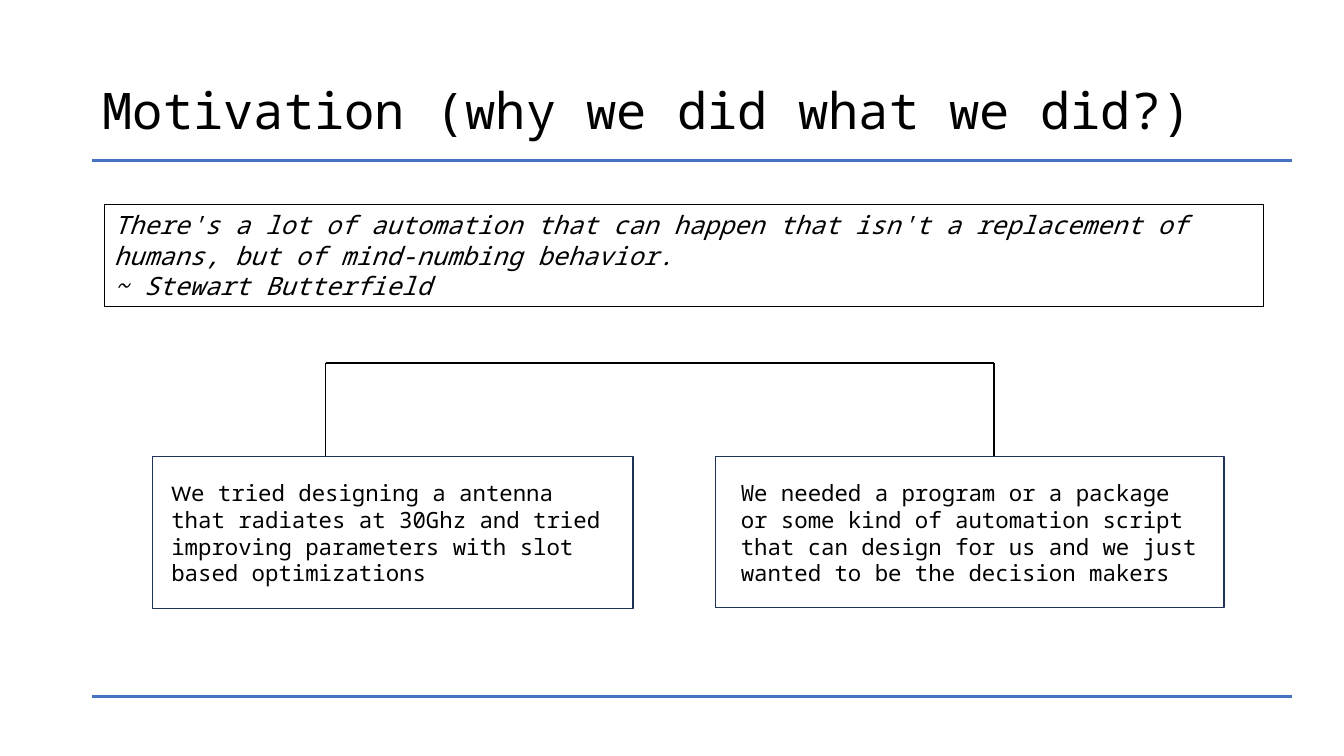
import pptx
import pptx.dml.color
import pptx.enum.shapes
import pptx.enum.text
import pptx.oxml.ns
import pptx.util
from collections import namedtuple
from lxml import etree

BLACK = pptx.dml.color.RGBColor(0x00, 0x00, 0x00)
BLUE = pptx.dml.color.RGBColor(0x44, 0x72, 0xC4)
NAVY = pptx.dml.color.RGBColor(0x1E, 0x32, 0x56)
MONO = "Noto Sans Mono"
SANS = "Calibri"

# The slide is a grid of 100 columns by 100 rows.
WIDTH, HEIGHT = pptx.util.Inches(13.33), pptx.util.Inches(7.5)
COL, ROW = WIDTH / 100, HEIGHT / 100

Box = namedtuple("Box", "left top width height")


def on_grid(box):
    return (round(box.left * COL), round(box.top * ROW),
            round(box.width * COL), round(box.height * ROW))


def add_line(slide, start, end, color, weight):
    """Draw a straight line between two (column, row) points."""
    line = slide.shapes.add_connector(
        pptx.enum.shapes.MSO_CONNECTOR.STRAIGHT,
        round(start[0] * COL), round(start[1] * ROW),
        round(end[0] * COL), round(end[1] * ROW))
    line.line.color.rgb = color
    line.line.width = pptx.util.Pt(weight)
    etree.SubElement(line._element.spPr, pptx.oxml.ns.qn("a:effectLst"))


def add_frame(slide, box, color, weight):
    """Draw an unfilled rectangle and return it."""
    frame = slide.shapes.add_shape(
        pptx.enum.shapes.MSO_SHAPE.RECTANGLE, *on_grid(box))
    frame.shadow.inherit = False
    frame.fill.background()
    frame.line.color.rgb = color
    frame.line.width = pptx.util.Pt(weight)
    return frame


def write(holder, paragraphs, size, italic=False, spacing=None,
          anchor=pptx.enum.text.MSO_ANCHOR.TOP):
    """Fill a shape with paragraphs, each a list of (text, font) runs."""
    frame = holder.text_frame
    frame.word_wrap = True
    frame.vertical_anchor = anchor
    for index, runs in enumerate(paragraphs):
        paragraph = frame.add_paragraph() if index else frame.paragraphs[0]
        paragraph.alignment = pptx.enum.text.PP_ALIGN.LEFT
        paragraph.line_spacing = spacing
        for text, font in runs:
            run = paragraph.add_run()
            run.text = text
            run.font.name = font
            run.font.size = pptx.util.Pt(size)
            run.font.italic = italic
            run.font.color.rgb = BLACK


def add_title(slide, box, title):
    heading = slide.shapes.add_textbox(*on_grid(box))
    write(heading, [[(title, MONO)]], 36, spacing=0.9,
          anchor=pptx.enum.text.MSO_ANCHOR.MIDDLE)


def add_rules(slide, box):
    """Draw the blue rules along the top and bottom of the box."""
    for row in (box.top, box.top + box.height):
        add_line(slide, (box.left, row), (box.left + box.width, row), BLUE, 2)


def add_quote(slide, box, quote, author):
    frame = add_frame(slide, box, BLACK, 0.5)
    write(frame, [[(quote, MONO)], [(author, MONO)]], 18, italic=True)


def add_bracket(slide, box):
    """Join the two reasons with a bar and a drop at each end."""
    right, bottom = box.left + box.width, box.top + box.height
    add_line(slide, (box.left, box.top), (right, box.top), BLACK, 1)
    for column in (box.left, right):
        add_line(slide, (column, box.top), (column, bottom), BLACK, 1)


def add_reason(slide, box, margin, runs):
    """Draw a framed reason, its text inset by the left and right margin."""
    add_frame(slide, box, NAVY, 1)
    reason = slide.shapes.add_textbox(*on_grid(Box(
        box.left + margin, box.top + 2.3,
        box.width - margin - 0.83, 15.73)))
    write(reason, [runs], 16)


def main():
    deck = pptx.Presentation()
    deck.slide_width, deck.slide_height = WIDTH, HEIGHT
    slide = deck.slides.add_slide(deck.slide_layouts[6])

    add_title(slide, Box(6.9, 5.33, 86.27, 19.33),
              "Motivation (why we did what we did?)")
    add_rules(slide, Box(6.87, 21.2, 89.27, 70.93))
    add_quote(slide, Box(7.73, 27.07, 86.27, 13.47),
              "There's a lot of automation that can happen that isn't a "
              "replacement of humans, but of mind-numbing behavior.",
              "~ Stewart Butterfield")
    add_bracket(slide, Box(24.23, 48, 49.74, 12.4))
    add_reason(slide, Box(11.33, 60.4, 35.78, 20.1), 0.68, [
        ("W", SANS),
        ("e tried designing a antenna that radiates at 30Ghz and tried "
         "improving parameters with slot based optimizations", MONO)])
    add_reason(slide, Box(53.26, 60.4, 37.81, 20), 1.12, [
        ("We needed a program or a package or some kind of automation script "
         "that can design for us and we just wanted to be the decision "
         "makers", MONO)])
    deck.save("out.pptx")


if __name__ == "__main__":
    main()
